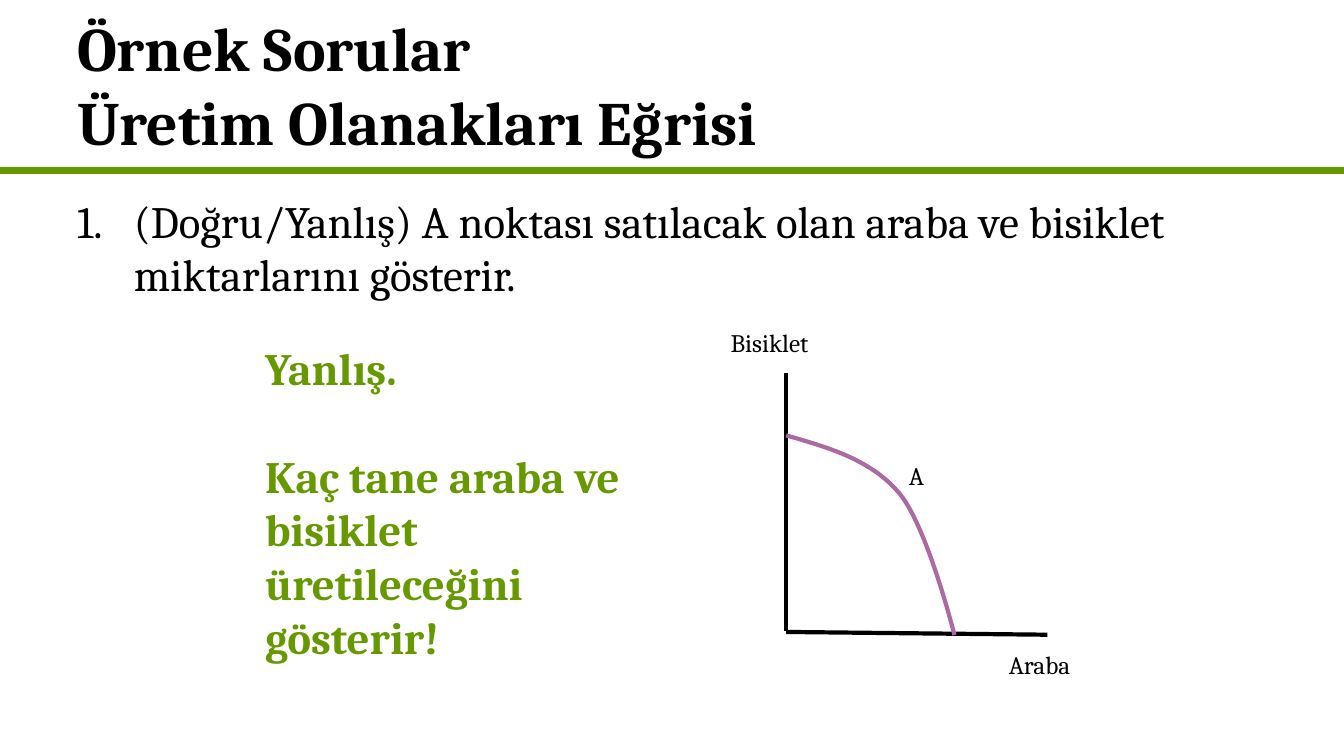
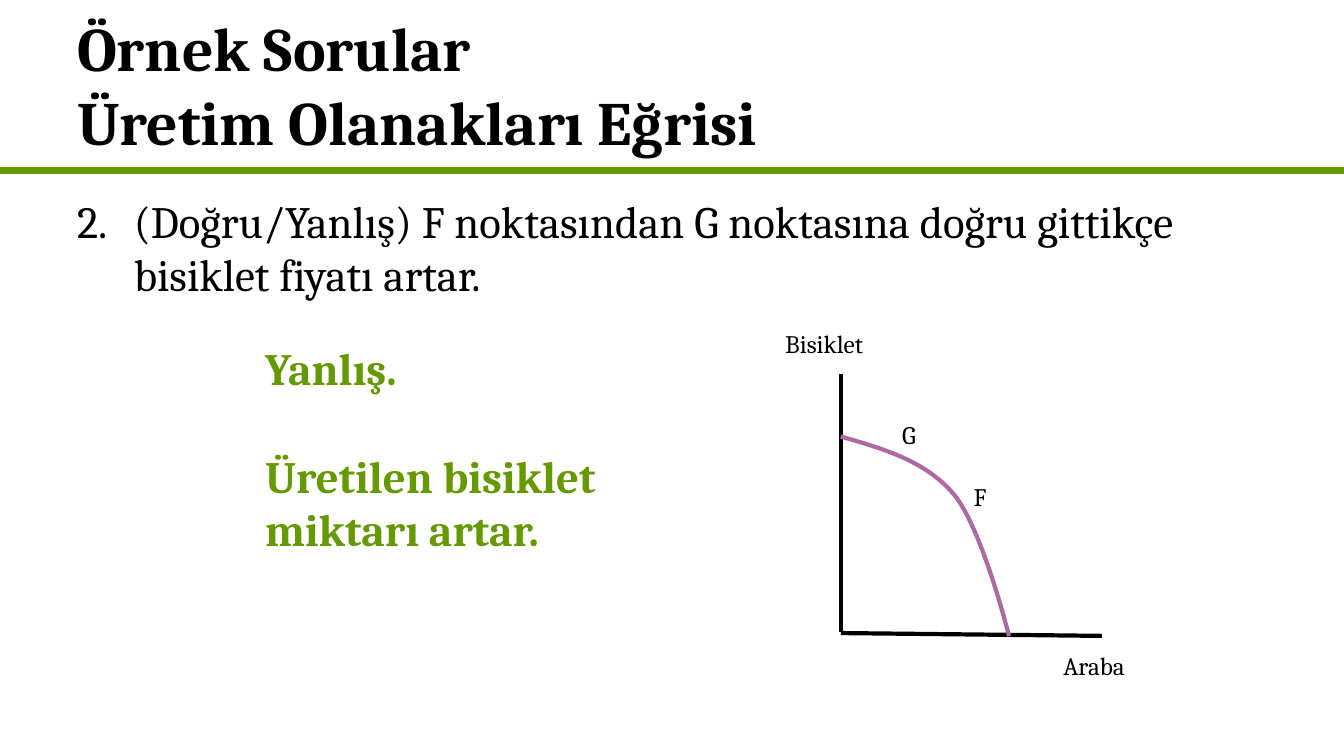
from collections import namedtuple

from lxml.etree import SubElement
from pptx import Presentation
from pptx.dml.color import RGBColor
from pptx.enum.shapes import MSO_CONNECTOR as Connector
from pptx.enum.text import MSO_ANCHOR as Anchor
from pptx.oxml.ns import qn
from pptx.util import Pt

BLACK = RGBColor(0x00, 0x00, 0x00)
GREEN = RGBColor(0x66, 0x99, 0x00)
PURPLE = RGBColor(0xAC, 0x69, 0xA2)

WIDTH, HEIGHT = 960, 540
FONT = "Cambria"
STYLES = {
    "title": ({"size": Pt(44), "bold": True}, BLACK),
    "question": ({"size": Pt(32), "bold": False}, BLACK),
    "answer": ({"size": Pt(32), "bold": True}, GREEN),
    "label": ({"size": Pt(18), "bold": False}, BLACK),
}

Box = namedtuple("Box", "left top width height")
TITLE_BOX = Box(48, 0, 864, 120)
QUESTION_BOX = Box(48, 134.6, 864, 385)
ANSWER_BOX = Box(182.2, 239.8, 267.8, 240)
RULE_Y = 121.7
NUMBER_INDENT = 40.5
ANSWER_GAP = 38.5

TITLE = "Örnek Sorular\vÜretim Olanakları Eğrisi"
CURVE = [
    ((0, 44.6), (30.2, 53.3), (60.5, 61.9), (80.6, 85.7)),
    ((80.6, 85.7), (100.8, 109.4), (120.2, 187.2), (120.2, 187.2)),
]
CURVE_STEPS = 24

QUESTIONS = [
    {
        "text": "(Doğru/Yanlış) A noktası satılacak olan araba ve bisiklet miktarlarını gösterir.",
        "answer": ["Yanlış.", "Kaç tane araba ve bisiklet üretileceğini gösterir!"],
        "graph": Box(561.6, 266.4, 186.5, 187),
        "points": {"A": (80.6, 59)},
    },
    {
        "text": "(Doğru/Yanlış) F noktasından G noktasına doğru gittikçe bisiklet fiyatı artar.",
        "answer": ["Yanlış.", "Üretilen bisiklet miktarı artar."],
        "graph": Box(600.6, 267.2, 186.5, 187),
        "points": {"F": (87.8, 72.7), "G": (36.7, 28.8)},
    },
]


def add_text(slide, box, paragraphs, style, anchor=Anchor.TOP):
    shape = slide.shapes.add_textbox(*(Pt(length) for length in box))
    frame = shape.text_frame
    frame.word_wrap = True
    frame.vertical_anchor = anchor
    values, color = STYLES[style]
    for index, text in enumerate(paragraphs):
        paragraph = frame.add_paragraph() if index else frame.paragraphs[0]
        paragraph.text = text
        for font in [paragraph.font] + [run.font for run in paragraph.runs]:
            for name, value in {"name": FONT, **values}.items():
                setattr(font, name, value)
            font.color.rgb = color
    return frame.paragraphs


def add_line(slide, start, end, color, width):
    ends = (Pt(length) for length in (*start, *end))
    line = slide.shapes.add_connector(Connector.STRAIGHT, *ends)
    line.line.color.rgb = color
    line.line.width = Pt(width)
    SubElement(line._element.spPr, qn("a:effectLst"))


def add_header(slide, box):
    add_line(slide, (0, RULE_Y), (WIDTH, RULE_Y), GREEN, 4.5)
    add_text(slide, box, [TITLE], "title", Anchor.MIDDLE)


def add_question(slide, box, number, text):
    paragraph = add_text(slide, box, [text], "question")[0]
    properties = paragraph._p.get_or_add_pPr()
    indent = Pt(NUMBER_INDENT)
    properties.set("marL", str(indent))
    properties.set("indent", str(-indent))
    bullet = properties.makeelement(qn("a:buAutoNum"), {"type": "arabicPeriod", "startAt": str(number)})
    properties.insert_element_before(bullet, "a:tabLst", "a:defRPr", "a:extLst")


def add_answer(slide, box, lines):
    paragraphs = add_text(slide, box, lines, "answer")
    for paragraph in paragraphs[1:]:
        paragraph.space_before = Pt(ANSWER_GAP)


def bezier_point(controls, t):
    weights = ((1 - t) ** 3, 3 * t * (1 - t) ** 2, 3 * t**2 * (1 - t), t**3)
    return tuple(sum(w * point[axis] for w, point in zip(weights, controls)) for axis in (0, 1))


def add_curve(slide, box):
    points = [
        (Pt(box.left + x), Pt(box.top + y))
        for controls in CURVE
        for x, y in (bezier_point(controls, step / CURVE_STEPS) for step in range(CURVE_STEPS + 1))
    ]
    builder = slide.shapes.build_freeform(*points[0])
    builder.add_line_segments(points[1:], close=False)
    curve = builder.convert_to_shape()
    curve.shadow.inherit = False
    curve.fill.background()
    curve.line.color.rgb = PURPLE
    curve.line.width = Pt(3)


def add_graph(slide, box, points):
    right, bottom = box.left + box.width, box.top + box.height
    add_line(slide, (box.left, box.top), (box.left, bottom - 2.7), BLACK, 3)
    add_line(slide, (right, bottom), (box.left, bottom - 2), BLACK, 3)
    add_curve(slide, box)
    labels = {"Bisiklet": (-46.8, -36), "Araba": (151.9, 193.7), **points}
    for text, (x, y) in labels.items():
        width = 36 if text in points else 90
        add_text(slide, Box(box.left + x, box.top + y, width, 29), [text], "label")


def add_question_slide(presentation, number, question):
    slide = presentation.slides.add_slide(presentation.slide_layouts[6])
    add_header(slide, TITLE_BOX)
    add_question(slide, QUESTION_BOX, number, question["text"])
    add_graph(slide, question["graph"], question["points"])
    add_answer(slide, ANSWER_BOX, question["answer"])


def main():
    presentation = Presentation()
    presentation.slide_width = Pt(WIDTH)
    presentation.slide_height = Pt(HEIGHT)
    for number, question in enumerate(QUESTIONS, 1):
        add_question_slide(presentation, number, question)
    presentation.save("out.pptx")


if __name__ == "__main__":
    main()
